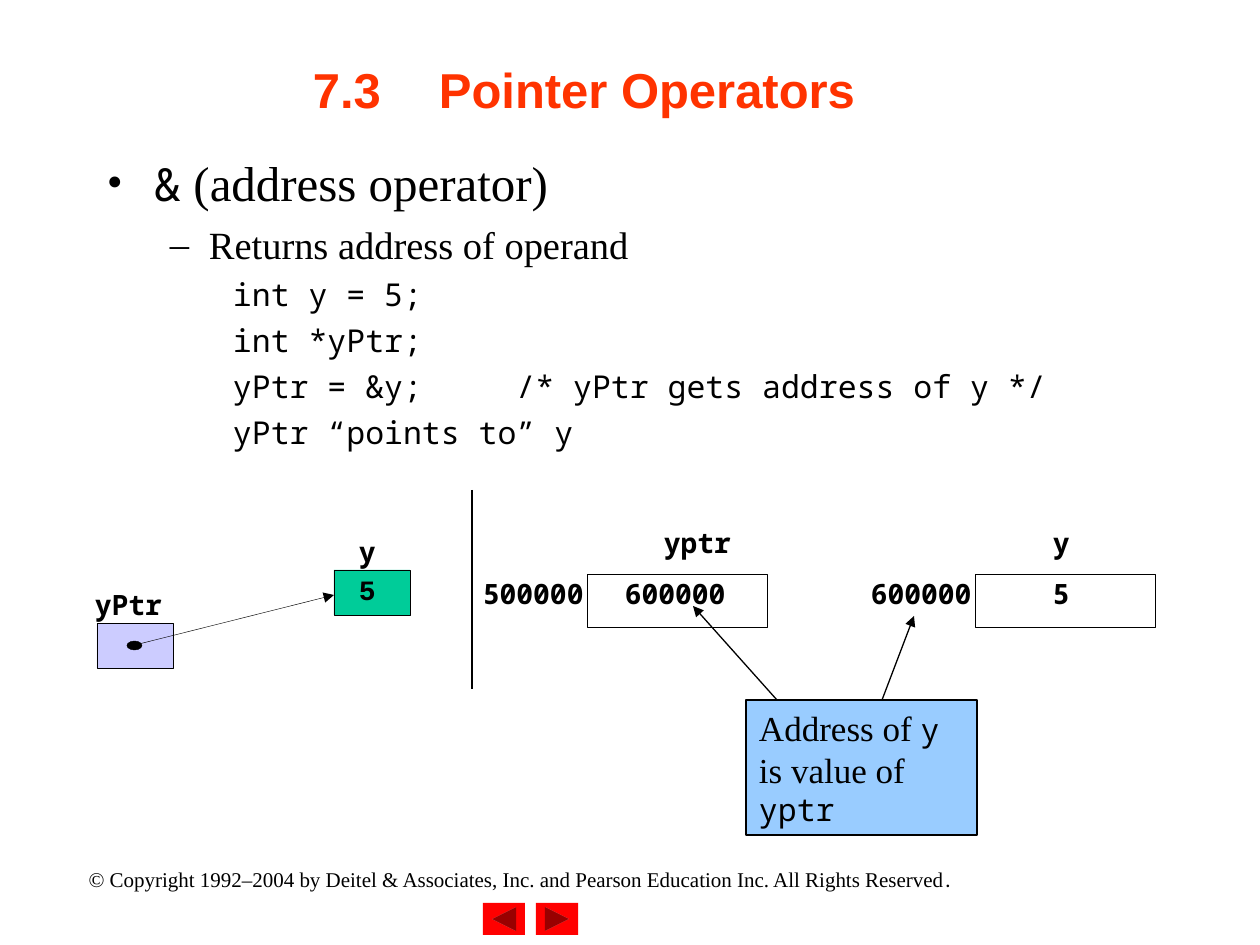
from lxml import etree
from pptx import Presentation
from pptx.dml.color import RGBColor
from pptx.enum.shapes import MSO_CONNECTOR, MSO_SHAPE
from pptx.enum.text import MSO_ANCHOR, PP_ALIGN
from pptx.oxml.ns import qn
from pptx.util import Emu, Pt

RECT, OVAL = MSO_SHAPE.RECTANGLE, MSO_SHAPE.OVAL
NEXT_BUTTON = MSO_SHAPE.ACTION_BUTTON_FORWARD_OR_NEXT
STRAIGHT = MSO_CONNECTOR.STRAIGHT
TOP, MIDDLE = MSO_ANCHOR.TOP, MSO_ANCHOR.MIDDLE
LEFT, CENTER = PP_ALIGN.LEFT, PP_ALIGN.CENTER
SERIF, MONO, SANS, TYPEWRITER = "Times New Roman", "Noto Sans Mono", "Arial", "Courier New"
COLORS = {"ink": "000000", "title": "FF3300", "pointer": "CCCCFF", "target": "00CC99",
          "callout": "99CCFF", "button": "FF0000"}


def px(length):
    return Emu(round(length * 914400 / 126))


class PointerSlide:
    """Holds the slide and draws each kind of element in one style."""

    def __init__(self, deck):
        self.slide = deck.slides.add_slide(deck.slide_layouts[6])

    def paint(self, item, color):
        item.color.rgb = RGBColor.from_string(COLORS[color])

    def shape(self, kind, box, fill=None, line=0.25, rotation=0):
        shape = self.slide.shapes.add_shape(kind, *map(px, box))
        shape.shadow.inherit = False
        shape.rotation = rotation
        if fill:
            shape.fill.solid()
            shape.fill.fore_color.rgb = RGBColor.from_string(COLORS[fill])
        else:
            shape.fill.background()
        if line:
            self.paint(shape.line, "ink")
            shape.line.width = Pt(line)
        else:
            shape.line.fill.background()
        return shape

    def frame(self, box, insets=(13, 6), anchor=TOP):
        return self.setup(self.slide.shapes.add_textbox(*map(px, box)), insets, anchor)

    def setup(self, shape, insets=(13, 6), anchor=TOP):
        frame = shape.text_frame
        frame.word_wrap = True
        frame.vertical_anchor = anchor
        frame.margin_left = frame.margin_right = px(insets[0])
        frame.margin_top = frame.margin_bottom = px(insets[1])
        return frame

    def paragraph(self, frame, runs, first=True, align=LEFT, before=0, spacing=None,
                  margin=0, indent=0, bullet=None, color="ink", bold=False):
        para = frame.paragraphs[0] if first else frame.add_paragraph()
        props = para._p.get_or_add_pPr()
        props.set("marL", str(px(margin)))
        props.set("indent", str(px(indent)))
        if bullet:
            etree.SubElement(props, qn("a:buFont")).set("typeface", SERIF)
            etree.SubElement(props, qn("a:buChar")).set("char", bullet)
        para.alignment = align
        para.space_before = Pt(before)
        if spacing:
            para.line_spacing = spacing
        for text, size, font in runs:
            run = para.add_run()
            run.text = text
            run.font.size, run.font.name, run.font.bold = Pt(size), font, bold
            self.paint(run.font, color)

    def label(self, text, box, spacing, font=MONO):
        self.paragraph(self.frame(box, (0, 0)), [(text, 16, font)], spacing=spacing, bold=True)

    def line(self, start, end, width=0.75, arrow=False):
        line = self.slide.shapes.add_connector(STRAIGHT, *map(px, start + end))
        self.paint(line.line, "ink")
        line.line.width = Pt(width)
        props = line._element.spPr
        if arrow:
            etree.SubElement(props.find(qn("a:ln")), qn("a:tailEnd")).set("type", "triangle")
        etree.SubElement(props, qn("a:effectLst"))


def main():
    deck = Presentation()
    deck.slide_width, deck.slide_height = px(1260), px(945)
    page = PointerSlide(deck)

    for left, rotation in ((536, 0), (483, 180)):
        page.shape(NEXT_BUTTON, (left, 903, 42, 32), "button", 0, rotation)
    page.paragraph(page.frame((63, 861, 914, 38)), [
        ("© Copyright 1992–2004 by Deitel & Associates, Inc. and Pearson Education Inc. "
         "All Rights Reserved", 12, SERIF), (".", 12, "League Spartan")], align=CENTER)

    title = page.frame((94, 10, 1071, 158), anchor=MIDDLE)
    page.paragraph(title, [("7.3\tPointer Operators", 28, SANS)],
                   margin=332, indent=-126, color="title", bold=True)

    body = page.frame((94, 147, 1071, 746))
    page.paragraph(body, [("&", 26, MONO), (" (address operator)", 28, SERIF)],
                   margin=47, indent=-47, bullet="•")
    page.paragraph(body, [("Returns address of operand", 22, SERIF)], first=False,
                   before=5.5, margin=102, indent=-39, bullet="–")
    for code in ("int y = 5;", "int *yPtr;",
                 "yPtr = &y;     /* yPtr gets address of y */", "yPtr “points to” y"):
        page.paragraph(body, [(code, 18, MONO)], first=False, before=4.5, margin=126)

    page.shape(RECT, (97, 623, 76, 45), "pointer")
    page.shape(RECT, (334, 570, 76, 45), "target")
    page.line((135, 645), (334, 595), 0.25, arrow=True)
    page.shape(OVAL, (127, 641, 15, 9), "ink")
    page.label("yPtr", (95, 596, 79, 26), 0.72)
    page.label("y", (359, 543, 25, 26), 0.72)
    page.label("5", (359, 581, 25, 26), 0.72, TYPEWRITER)

    memory = (("yptr", 664, "500000", 483, "600000", 625, 587),
              ("y", 1053, "600000", 871, "5", 1053, 975))
    for name, name_x, address, address_x, value, value_x, cell_x in memory:
        page.shape(RECT, (cell_x, 574, 180, 53))
        for text, left, top in ((name, name_x, 532), (address, address_x, 583),
                                (value, value_x, 583)):
            page.label(text, (left, top, 17 * len(text) + 3, 40), 0.8)
    page.line((472, 490), (472, 689))

    callout = page.setup(page.shape(RECT, (746, 700, 231, 135), "callout", 0.75))
    page.paragraph(callout, [("Address of ", 20, SERIF), ("y", 18, MONO),
                             (" is value of ", 20, SERIF), ("yptr", 18, MONO)])
    page.line((882, 700), (914, 616), arrow=True)
    page.line((777, 700), (693, 606), arrow=True)

    deck.save("out.pptx")


if __name__ == "__main__":
    main()
